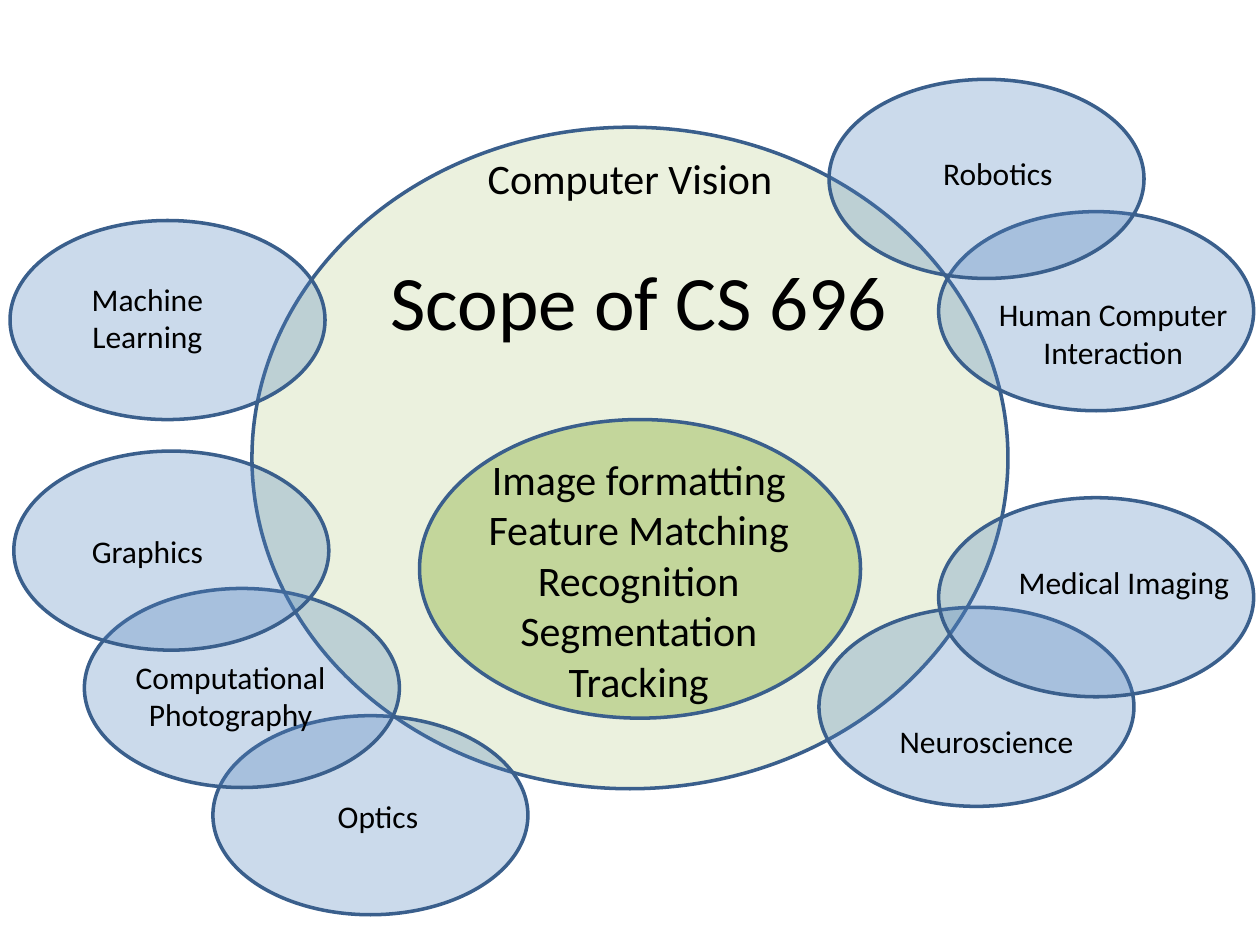
import pptx
import pptx.dml.color
import pptx.enum.shapes
import pptx.enum.text
import pptx.oxml
import pptx.oxml.ns
import pptx.util

PX = 9144  # 100 px to the inch
BLACK = "000000"
FIELD_W, FIELD_H = 250, 158

# field, ellipse left and top, label left, top, width and height
FIELDS = [
    ("Machine Learning", 8, 175, 19, 217, 196, 71),
    ("Optics", 169, 568, 200, 628, 200, 40),
    ("Neuroscience", 650, 482, 683, 568, 200, 40),
    ("Medical Imaging", 745, 395, 792, 442, 200, 40),
    ("Human Computer Interaction", 745, 168, 775, 229, 217, 71),
    ("Computational Photography", 67, 467, 83, 517, 200, 71),
    ("Graphics", 11, 358, 17, 417, 200, 40),
    ("Robotics", 658, 63, 692, 117, 200, 40),
]
# one list per paragraph, one entry per line
TOPICS = [["Image formatting", "Feature Matching", "Recognition"],
          ["Segmentation"], ["Tracking"]]


def rgb(value):
    return pptx.dml.color.RGBColor.from_string(value)


def write(tf, paragraphs, size):
    tf.word_wrap = True
    for i, lines in enumerate(paragraphs):
        p = tf.paragraphs[0] if i == 0 else tf.add_paragraph()
        p.alignment = pptx.enum.text.PP_ALIGN.CENTER
        for j, line in enumerate(lines):
            if j:
                p.add_line_break()
            r = p.add_run()
            r.text = line
            r.font.name = "Calibri"
            r.font.size = pptx.util.Pt(size)
            r.font.color.rgb = rgb(BLACK)


prs = pptx.Presentation()
prs.slide_width, prs.slide_height = 1000 * PX, 750 * PX
s = prs.slides.add_slide(prs.slide_layouts[5])

# Ellipses: computer vision, its neighbouring fields, the course topics
ellipses = [(200, 101, 600, 525, "EBF1DE", None)]
ellipses += [(f[1], f[2], FIELD_W, FIELD_H, "4F81BD", 29) for f in FIELDS]
ellipses += [(333, 333, 350, 237, "C3D69B", None)]
for left, top, width, height, fill, opacity in ellipses:
    sp = s.shapes.add_shape(pptx.enum.shapes.MSO_SHAPE.OVAL,
                            left * PX, top * PX, width * PX, height * PX)
    sp.shadow.inherit = False
    sp.fill.solid()
    sp.fill.fore_color.rgb = rgb(fill)
    sp.line.color.rgb = rgb("3A5F8C")
    sp.line.width = pptx.util.Pt(2)
    if opacity:
        color = sp.fill._xPr.find(".//" + pptx.oxml.ns.qn("a:srgbClr"))
        alpha = pptx.oxml.parse_xml(
            f'<a:alpha {pptx.oxml.ns.nsdecls("a")} val="{opacity * 1000}"/>')
        color.append(alpha)

# Title, brought in front of the ellipses
title = s.shapes.title
title.left, title.top = 261 * PX, 175 * PX
title.width, title.height = 492 * PX, 125 * PX
title.text_frame.vertical_anchor = pptx.enum.text.MSO_ANCHOR.MIDDLE
write(title.text_frame, [["Scope of CS 696"]], 44)
title.element.getparent().append(title.element)

# Labels
labels = [([["Computer Vision"]], 350, 116, 300, 50, 24)]
labels += [([[f[0]]], *f[3:], 18) for f in FIELDS]
labels += [(TOPICS, 357, 355, 300, 212, 24)]
for paragraphs, left, top, width, height, size in labels:
    sp = s.shapes.add_textbox(left * PX, top * PX, width * PX, height * PX)
    write(sp.text_frame, paragraphs, size)
    sp.text_frame.auto_size = pptx.enum.text.MSO_AUTO_SIZE.SHAPE_TO_FIT_TEXT

prs.save("out.pptx")
